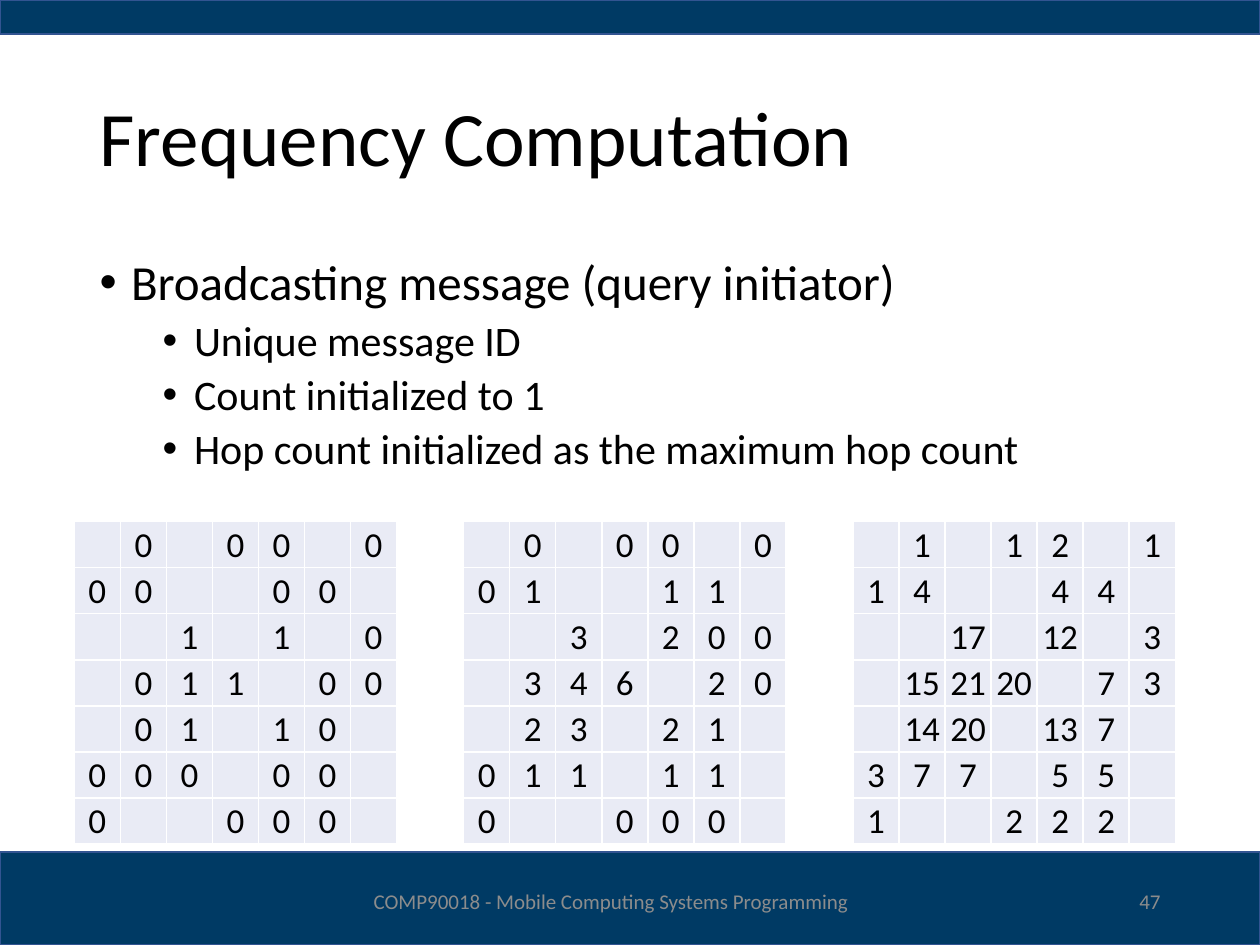
"""Build the Frequency Computation slide with its three hop-count grids."""
from dataclasses import dataclass

from lxml import etree
from pptx import Presentation
from pptx import util as u
from pptx.dml.color import RGBColor
from pptx.enum import shapes, text
from pptx.oxml import ns

EMU_PER_PX = 9144
FONT = "Calibri"
COLORS = {
    "navy": "003A64",
    "outline": "325491",
    "cell": "E9EBF5",
    "white": "FFFFFF",
    "ink": "000000",
    "footer": "8C8C8C",
}
LEFT, CENTER, RIGHT = text.PP_ALIGN.LEFT, text.PP_ALIGN.CENTER, text.PP_ALIGN.RIGHT


@dataclass(frozen=True)
class Box:
    left: int
    top: int
    width: int
    height: int

    def emu(self) -> list[u.Emu]:
        return [px(side) for side in (self.left, self.top, self.width, self.height)]


@dataclass(frozen=True)
class Bullet:
    words: str
    level: int
    size: int
    margin: int
    before: int


@dataclass(frozen=True)
class Footer:
    words: str
    box: Box
    align: text.PP_ALIGN


BARS = [Box(0, 676, 1000, 74), Box(0, 0, 1000, 27)]
TITLE_BOX = Box(69, 40, 862, 145)
BODY_BOX = Box(69, 200, 862, 476)
BULLETS = [
    Bullet("Broadcasting message (query initiator)", 0, 28, 25, 0),
    Bullet("Unique message ID", 1, 24, 75, 5),
    Bullet("Count initialized to 1", 1, 24, 75, 5),
    Bullet("Hop count initialized as the maximum hop count", 1, 24, 75, 5),
]
FOOTERS = [
    Footer("COMP90018 - Mobile Computing Systems Programming", Box(263, 695, 444, 40), CENTER),
    Footer("47", Box(706, 695, 225, 40), RIGHT),
]
GRID_LEFT, GRID_TOP, GRID_SIDE, GRID_STEP = 59, 414, 256, 309
GRIDS = [
    [". 0 . 0 0 . 0", "0 0 . . 0 0 .", ". . 1 . 1 . 0", ". 0 1 1 . 0 0",
     ". 0 1 . 1 0 .", "0 0 0 . 0 0 .", "0 . . 0 0 0 ."],
    [". 0 . 0 0 . 0", "0 1 . . 1 1 .", ". . 3 . 2 0 0", ". 3 4 6 . 2 0",
     ". 2 3 . 2 1 .", "0 1 1 . 1 1 .", "0 . . 0 0 0 ."],
    [". 1 . 1 2 . 1", "1 4 . . 4 4 .", ". . 17 . 12 . 3", ". 15 21 20 . 7 3",
     ". 14 20 . 13 7 .", "3 7 7 . 5 5 .", "1 . . 2 2 2 ."],
]


def px(length: int) -> u.Emu:
    return u.Emu(length * EMU_PER_PX)


def color(name: str) -> RGBColor:
    return RGBColor.from_string(COLORS[name])


def write(paragraph, words: str, *, size: int, ink: str = "ink", align=LEFT,
          spacing: float = 1.0, before: int = 0) -> None:
    paragraph.alignment = align
    paragraph.line_spacing = spacing
    paragraph.space_before = u.Pt(before)
    run = paragraph.add_run()
    run.text = words
    run.font.name = FONT
    run.font.size = u.Pt(size)
    run.font.color.rgb = color(ink)


def place(shape, box: Box, anchor) -> text.MSO_ANCHOR:
    shape.left, shape.top, shape.width, shape.height = box.emu()
    frame = shape.text_frame
    frame.word_wrap = True
    frame.auto_size = text.MSO_AUTO_SIZE.NONE
    frame.vertical_anchor = anchor
    return frame


def draw_bar(slide, box: Box) -> None:
    bar = slide.shapes.add_shape(shapes.MSO_SHAPE.RECTANGLE, *box.emu())
    bar.shadow.inherit = False
    bar.fill.solid()
    bar.fill.fore_color.rgb = color("navy")
    bar.line.color.rgb = color("outline")
    bar.line.width = u.Pt(1)


def draw_bullets(shape, bullets: list[Bullet]) -> None:
    frame = place(shape, BODY_BOX, text.MSO_ANCHOR.TOP)
    for index, bullet in enumerate(bullets):
        paragraph = frame.add_paragraph() if index else frame.paragraphs[0]
        paragraph.level = bullet.level
        properties = paragraph._p.get_or_add_pPr()
        properties.set("marL", str(px(bullet.margin)))
        properties.set("indent", str(px(-25)))
        etree.SubElement(properties, ns.qn("a:buFont"), typeface="Arial")
        etree.SubElement(properties, ns.qn("a:buChar"), char="•")
        write(paragraph, bullet.words, size=bullet.size, spacing=0.9, before=bullet.before)


def draw_borders(cell) -> None:
    properties = cell._tc.get_or_add_tcPr()
    for side in ("a:lnL", "a:lnR", "a:lnT", "a:lnB"):
        line = etree.SubElement(properties, ns.qn(side), w=str(u.Pt(1)))
        fill = etree.SubElement(line, ns.qn("a:solidFill"))
        etree.SubElement(fill, ns.qn("a:srgbClr"), val=COLORS["white"])


def draw_grid(slide, box: Box, rows: list[str]) -> None:
    table = slide.shapes.add_table(len(rows), len(rows[0].split()), *box.emu()).table
    table.first_row = table.horz_banding = False
    for row, line in enumerate(rows):
        for column, value in enumerate(line.split()):
            cell = table.cell(row, column)
            draw_borders(cell)
            cell.fill.solid()
            cell.fill.fore_color.rgb = color("cell")
            cell.margin_left = cell.margin_right = cell.margin_top = px(1)
            cell.margin_bottom = 0
            cell.vertical_anchor = text.MSO_ANCHOR.MIDDLE
            if value != ".":
                write(cell.text_frame.paragraphs[0], value, size=20, align=CENTER)


def draw_footer(slide, footer: Footer) -> None:
    shape = slide.shapes.add_textbox(*footer.box.emu())
    frame = place(shape, footer.box, text.MSO_ANCHOR.MIDDLE)
    write(frame.paragraphs[0], footer.words, size=12, ink="footer", align=footer.align)


def main() -> None:
    presentation = Presentation()
    presentation.slide_width, presentation.slide_height = px(1000), px(750)
    slide = presentation.slides.add_slide(presentation.slide_layouts[1])
    for bar in BARS:
        draw_bar(slide, bar)
    title = place(slide.shapes.title, TITLE_BOX, text.MSO_ANCHOR.MIDDLE)
    write(title.paragraphs[0], "Frequency Computation", size=44, spacing=0.9)
    draw_bullets(slide.placeholders[1], BULLETS)
    for index, rows in enumerate(GRIDS):
        draw_grid(slide, Box(GRID_LEFT + index * GRID_STEP, GRID_TOP, GRID_SIDE, GRID_SIDE), rows)
    for footer in FOOTERS:
        draw_footer(slide, footer)
    presentation.save("out.pptx")


if __name__ == "__main__":
    main()
